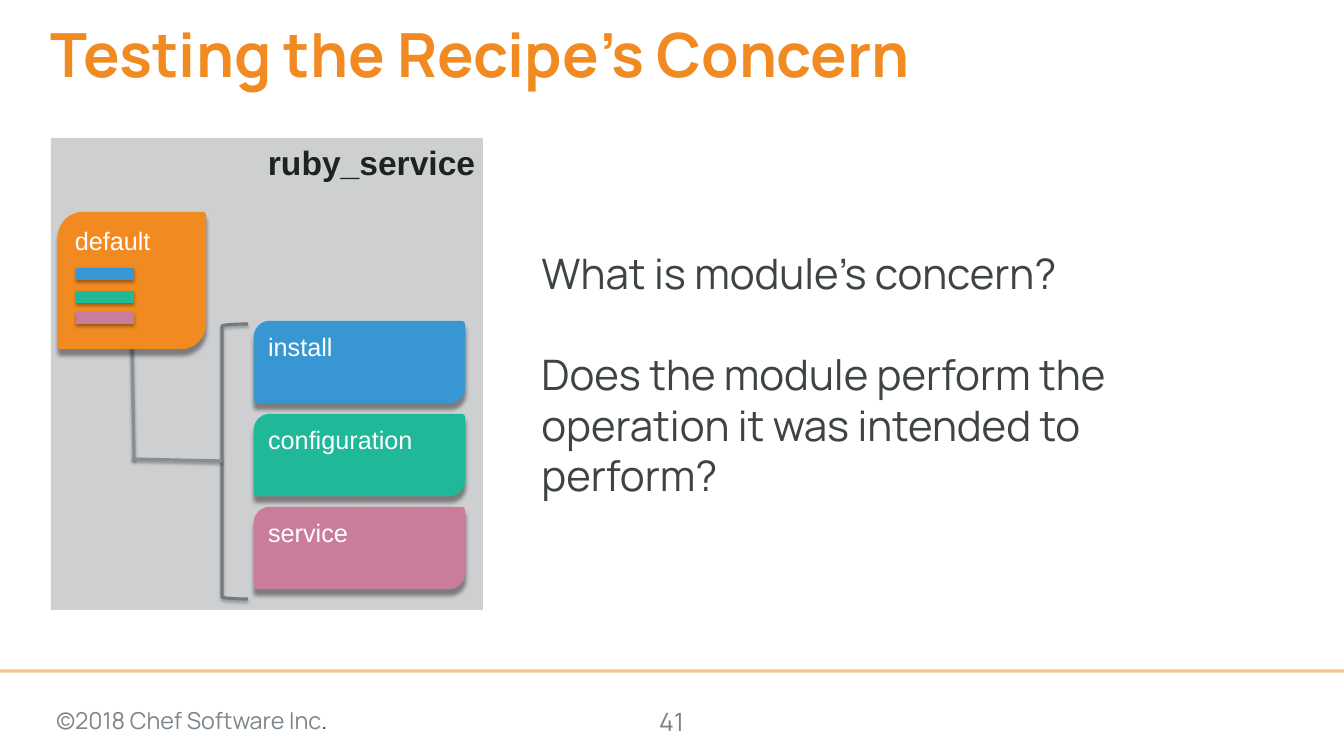
"""Build the slide on testing a recipe's concern, with its module diagram."""
import lxml.etree
import pptx
import pptx.dml.color
import pptx.enum.shapes
import pptx.enum.text
import pptx.oxml.ns
import pptx.util

PX = 12095
ORANGE, BLUE, GREEN, PINK = "F18B21", "3897D3", "1FB899", "C97D9A"
GRAY, DARK, WHITE = "878F94", "3E4346", "FFFFFF"
LINE_SHADOW = (35, 3.1, 1.8)
BLOCK_SHADOW = (40, 4, 6)
color = pptx.dml.color.RGBColor.from_string
qn = pptx.oxml.ns.qn
shape_type = pptx.enum.shapes.MSO_SHAPE
align = pptx.enum.text.PP_ALIGN
anchor = pptx.enum.text.MSO_ANCHOR


def outline(shape, line_color, width, shadow=None):
    shape.line.color.rgb = color(line_color)
    shape.line.width = pptx.util.Pt(width)
    effects = lxml.etree.SubElement(shape._element.spPr, qn("a:effectLst"))
    if shadow:
        opacity, blur, distance = shadow
        outer = lxml.etree.SubElement(
            effects, qn("a:outerShdw"), blurRad=str(pptx.util.Pt(blur)),
            dist=str(pptx.util.Pt(distance)), dir="5400000", rotWithShape="0")
        black = lxml.etree.SubElement(outer, qn("a:srgbClr"), val="000000")
        lxml.etree.SubElement(black, qn("a:alpha"), val=str(opacity * 1000))


def write(shape, paragraphs, size, font, bold=False, alignment=align.LEFT,
          vertical=anchor.TOP, insets=(0.1, 0.1), gap=0, spacing=None):
    frame = shape.text_frame
    frame.word_wrap = True
    frame.vertical_anchor = vertical
    frame.margin_left = frame.margin_right = pptx.util.Inches(insets[0])
    frame.margin_top = frame.margin_bottom = pptx.util.Inches(insets[1])
    for index, runs in enumerate(paragraphs):
        paragraph = frame.add_paragraph() if index else frame.paragraphs[0]
        paragraph.alignment = alignment
        if spacing:
            paragraph.line_spacing = spacing
        if index:
            paragraph.space_before = pptx.util.Pt(gap)
        for text, text_color in runs:
            run = paragraph.add_run()
            run.text = text
            run.font.size = pptx.util.Pt(size)
            run.font.name = font
            run.font.bold = bold
            run.font.color.rgb = color(text_color)


presentation = pptx.Presentation()
presentation.slide_width = 1344 * PX
presentation.slide_height = 756 * PX
slide = presentation.slides.add_slide(presentation.slide_layouts[6])
shapes = slide.shapes
straight = pptx.enum.shapes.MSO_CONNECTOR.STRAIGHT

footer_rule = shapes.add_connector(straight, 1344 * PX, 671 * PX, 0, 671 * PX)
outline(footer_rule, ORANGE, 3)

copyright_box = shapes.add_textbox(49 * PX, 699 * PX, 446 * PX, 39 * PX)
write(copyright_box, [[("©2018 Chef Software Inc", "7D868C"), (".", DARK)]], 22.2, "Manrope")
number_box = shapes.add_textbox(612 * PX, 699 * PX, 119 * PX, 43 * PX)
write(number_box, [[("41", "7F7F7F")]], 24, "Manrope", alignment=align.CENTER)
title_box = shapes.add_textbox(51 * PX, 25 * PX, 1235 * PX, 69 * PX)
write(title_box, [[("Testing the Recipe’s Concern", ORANGE)]], 58, "Manrope",
      bold=True, insets=(0, 0), spacing=0.9)

bracket = shapes.add_shape(shape_type.RIGHT_BRACKET, 222 * PX, 324 * PX, 26 * PX, 275 * PX)
bracket._element.spPr.find(qn("a:xfrm")).set("flipH", "1")
bracket.fill.background()
outline(bracket, GRAY, 3, LINE_SHADOW)

panel = shapes.add_shape(shape_type.RECTANGLE, 51 * PX, 138 * PX, 432 * PX, 472 * PX)
panel.shadow.inherit = False
panel.fill.solid()
panel.fill.fore_color.rgb = color(DARK)
panel.line.fill.background()
write(panel, [[("ruby_service", "1F2223")]], 32, "Arial", bold=True,
      alignment=align.RIGHT, insets=(0.1, 0.05))

for shape, opacity in ((footer_rule, 50), (panel, 25)):
    tint = next(shape._element.spPr.iter(qn("a:srgbClr")))
    lxml.etree.SubElement(tint, qn("a:alpha"), val=str(opacity * 1000))

for x1, y1, x2, y2 in ((132, 345, 134, 460), (132, 459, 222, 461)):
    branch = shapes.add_connector(straight, x1 * PX, y1 * PX, x2 * PX, y2 * PX)
    outline(branch, GRAY, 3, LINE_SHADOW)

modules = [(name, fill, 257, 324 + 93 * row, 205, 76) for row, (name, fill) in enumerate(
    (("install", BLUE), ("configuration", GREEN), ("service", PINK)))]
modules.append(("default", ORANGE, 61, 215, 142, 131))
for name, fill, left, top, width, height in modules:
    module = shapes.add_shape(shape_type.ROUND_2_DIAG_RECTANGLE,
                              left * PX, top * PX, width * PX, height * PX)
    module.fill.solid()
    module.fill.fore_color.rgb = color(fill)
    outline(module, fill, 6, BLOCK_SHADOW)
    write(module, [[(name, WHITE)]], 24, "Arial", insets=(0.1, 0.05))

for y, bar_color in ((274, BLUE), (297, GREEN), (318, PINK)):
    bar = shapes.add_connector(straight, 76 * PX, y * PX, 134 * PX, y * PX)
    outline(bar, bar_color, 12, LINE_SHADOW)

question_box = shapes.add_textbox(534 * PX, 138 * PX, 683 * PX, 472 * PX)
questions = ("What is module’s concern?",
             "Does the module perform the operation it was intended to perform?")
write(question_box, [[(question, DARK)] for question in questions], 40, "Manrope",
      vertical=anchor.MIDDLE, gap=48)

presentation.save("out.pptx")
